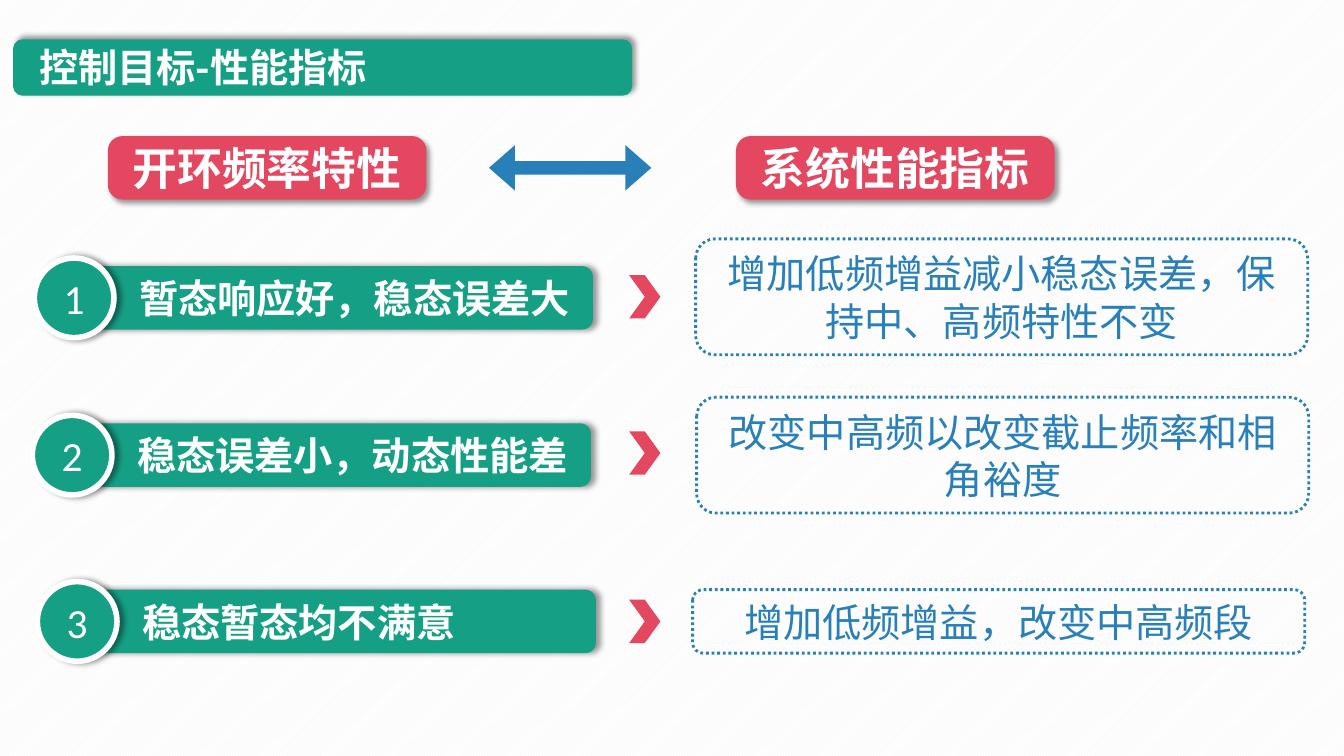
from lxml import etree
from pptx import Presentation
from pptx.dml.color import RGBColor
from pptx.enum import dml, shapes, text
from pptx.oxml.ns import qn
from pptx.util import Inches, Pt

# Content
TITLE = "控制目标-性能指标"
HEADINGS = [(1.07, "开环频率特性"), (7.3, "系统性能指标")]
# circle left, circle top, bar text, chevron top, remedy (left, top, height), remedy text
ROWS = [
    (0.34, 2.56, "暂态响应好，稳态误差大", 2.73, (6.9, 2.37, 1.15),
     "增加低频增益减小稳态误差，保持中、高频特性不变"),
    (0.32, 4.12, "稳态误差小，动态性能差", 4.28, (6.91, 3.94, 1.15),
     "改变中高频以改变截止频率和相角裕度"),
    (0.37, 5.77, "稳态暂态均不满意", 5.95, (6.87, 5.85, 0.63),
     "增加低频增益，改变中高频段"),
]
COLORS = {"green": "159F84", "red": "E44860", "blue": "2980B9",
          "white": "FFFFFF", "stripe": "F2F2F2", "shadow": "000000"}
LATIN, CHINESE = "Calibri", "Noto Sans CJK SC"
KIND = shapes.MSO_SHAPE


def color(name):
    return RGBColor.from_string(COLORS[name])


def add_shape(parent, kind, box, fill=None, shadow_angle=None):
    shape = parent.shapes.add_shape(kind, *map(Inches, box))
    if fill:
        shape.fill.solid()
        shape.fill.fore_color.rgb = color(fill)
    else:
        shape.fill.background()
    shape.line.fill.background()
    shape.shadow.inherit = False
    if shadow_angle is not None:
        effects = shape.element.spPr.find(qn("a:effectLst"))
        shadow = etree.SubElement(effects, qn("a:outerShdw"), blurRad=str(Pt(4)),
                                  dist=str(Pt(3)), dir=str(shadow_angle * 60000),
                                  algn="ctr", rotWithShape="0")
        shade = etree.SubElement(shadow, qn("a:srgbClr"), val=COLORS["shadow"])
        etree.SubElement(shade, qn("a:alpha"), val="40000")
    return shape


def set_outline(shape, name, width):
    shape.line.color.rgb = color(name)
    shape.line.width = Pt(width)


def write(shape, words, size, name="white", font=LATIN, bold=False,
          align=text.PP_ALIGN.CENTER, wrap=True):
    frame = shape.text_frame
    frame.word_wrap = wrap
    frame.vertical_anchor = text.MSO_ANCHOR.MIDDLE
    paragraph = frame.paragraphs[0]
    paragraph.alignment = align
    run = paragraph.add_run()
    run.text = words
    run.font.size, run.font.bold, run.font.name = Pt(size), bold, font
    run.font.color.rgb = color(name)
    latin = run.font._element.find(qn("a:latin"))
    latin.addnext(latin.makeelement(qn("a:ea"), typeface=CHINESE))
    return paragraph


presentation = Presentation()
presentation.slide_width, presentation.slide_height = Inches(13.33), Inches(7.5)
slide = presentation.slides.add_slide(presentation.slide_layouts[5])

# Striped background
background = slide.background.fill
background.patterned()
background.pattern = dml.MSO_PATTERN.LIGHT_UPWARD_DIAGONAL
background.fore_color.rgb = color("stripe")
background.back_color.rgb = color("white")

# Title on its green bar
title = slide.shapes.title
title.left, title.top, title.width, title.height = map(Inches, (0.29, 0.38, 5.82, 0.57))
write(title, TITLE, 28, font=CHINESE, bold=True, align=text.PP_ALIGN.LEFT)
title_bar = add_shape(slide, KIND.ROUNDED_RECTANGLE, (0.13, 0.39, 6.14, 0.56), "green", 315)
title.element.addprevious(title_bar.element)

# Column headings joined by a double arrow
for left, words in HEADINGS:
    heading = add_shape(slide, KIND.ROUNDED_RECTANGLE, (left, 1.35, 3.16, 0.63), "red", 45)
    heading.adjustments[0] = 0.23
    write(heading, words, 32, bold=True)
arrow = add_shape(slide, KIND.LEFT_RIGHT_ARROW, (4.85, 1.44, 1.61, 0.45), "blue")
arrow.adjustments[0], arrow.adjustments[1] = 0.3, 0.57

# Rows: numbered problem, chevron, remedy
for number, (left, top, problem, chevron_top, remedy_box, remedy) in enumerate(ROWS, 1):
    group = slide.shapes.add_group_shape()
    bar = add_shape(group, KIND.ROUNDED_RECTANGLE,
                    (left + 0.52, top + 0.08, 5.02, 0.63), "green", 0)
    paragraph = write(bar, problem, 28, font=CHINESE, bold=True, align=text.PP_ALIGN.LEFT)
    paragraph._p.get_or_add_pPr().set("marL", str(Inches(0.39)))
    circle = add_shape(group, KIND.OVAL, (left, top, 0.79, 0.79), "green", 0)
    set_outline(circle, "white", 4)
    write(circle, str(number), 29.6, wrap=False)

    add_shape(slide, KIND.CHEVRON, (6.24, chevron_top, 0.31, 0.43), "red")

    remedy_left, remedy_top, remedy_height = remedy_box
    panel = add_shape(slide, KIND.FLOWCHART_ALTERNATE_PROCESS,
                      (remedy_left, remedy_top, 6.07, remedy_height))
    set_outline(panel, "blue", 2)
    panel.line.dash_style = dml.MSO_LINE.ROUND_DOT
    write(panel, remedy, 28, "blue")

presentation.save("out.pptx")
